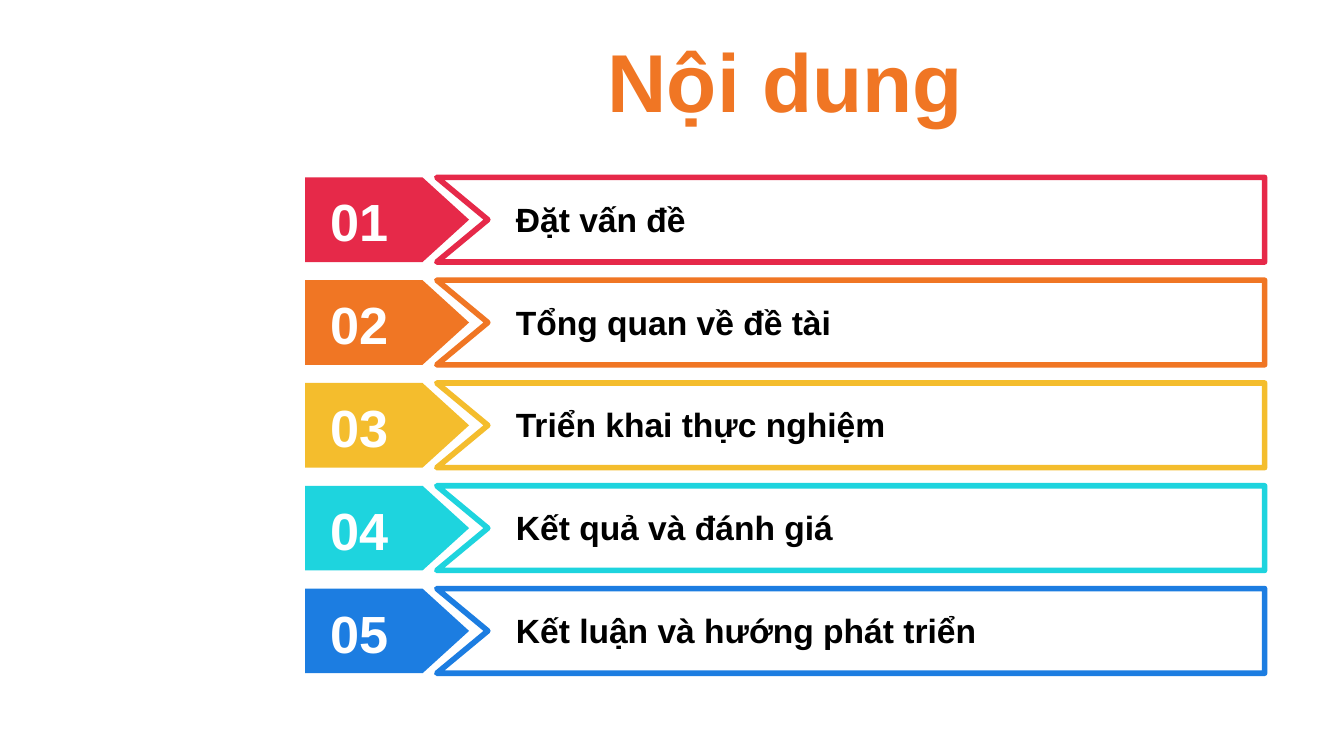
import pptx
import pptx.dml.color
import pptx.enum.shapes
import pptx.enum.text
import pptx.util
from lxml import etree
from pptx.oxml.ns import qn

Inches = pptx.util.Inches
Pt = pptx.util.Pt
Anchor = pptx.enum.text.MSO_ANCHOR
Align = pptx.enum.text.PP_ALIGN
Fit = pptx.enum.text.MSO_AUTO_SIZE

ITEMS = [
    ("Đặt vấn đề", "E62949"),
    ("Tổng quan về đề tài", "F07624"),
    ("Triển khai thực nghiệm", "F4BD2D"),
    ("Kết quả và đánh giá", "1ED4DE"),
    ("Kết luận và hướng phát triển", "1C7DE1"),
]
TOP, LAST, HIGH = 1.32, 4.38, 0.63
STEP = (LAST - TOP) / (len(ITEMS) - 1)


def color(code):
    return pptx.dml.color.RGBColor.from_string(code)


class Page:
    font = "Arial"
    white = "FFFFFF"
    black = "000000"

    def __init__(self, slide):
        self.slide = slide

    def paint(self, shape, fill):
        shape.shadow.inherit = False
        shape.fill.solid()
        shape.fill.fore_color.rgb = color(fill)

    def text(self, words, box, size, ink, anchor=Anchor.TOP,
             align=Align.LEFT, pad=0.05, fit=Fit.SHAPE_TO_FIT_TEXT):
        shape = self.slide.shapes.add_textbox(*map(Inches, box))
        frame = shape.text_frame
        frame.word_wrap = True
        frame.auto_size = fit
        frame.vertical_anchor = anchor
        frame.margin_top = frame.margin_bottom = Inches(pad)
        para = frame.paragraphs[0]
        para.alignment = align
        run = para.add_run()
        run.text = words
        run.font.name = self.font
        run.font.size = Pt(size)
        run.font.bold = True
        run.font.color.rgb = color(ink)

    def arrow(self, top, fill):
        kind = pptx.enum.shapes.MSO_SHAPE.PENTAGON
        shape = self.slide.shapes.add_shape(
            kind, Inches(2.27), Inches(top), Inches(1.22), Inches(HIGH))
        shape.adjustments[0] = 0.55
        self.paint(shape, fill)
        shape.line.fill.background()

    def frame(self, top, edge):
        """Draw the outlined bar whose left side is notched inward."""
        left, right, notch = 3.25, 9.41, 3.63
        points = [(right, top), (right, top + HIGH),
                  (left, top + HIGH), (notch, top + HIGH / 2)]
        path = self.slide.shapes.build_freeform(Inches(left), Inches(top))
        path.add_line_segments([(Inches(x), Inches(y)) for x, y in points])
        shape = path.convert_to_shape()
        self.paint(shape, self.white)
        shape.line.color.rgb = color(edge)
        shape.line.width = Pt(3)
        etree.SubElement(shape.line._get_or_add_ln(), qn("a:round"))

    def item(self, index, words, hue):
        top = TOP + index * STEP
        self.arrow(top, hue)
        self.frame(top, hue)
        self.text(f"{index + 1:02}", (2.36, top + 0.09, 0.66, 0.47), 28,
                  self.white, anchor=Anchor.MIDDLE, pad=0)
        self.text(words, (3.74, top + 0.11, 5.3, 0.4), 18, self.black)


def main():
    deck = pptx.Presentation()
    deck.slide_width = Inches(10)
    deck.slide_height = deck.slide_width * 9 // 16
    page = Page(deck.slides.add_slide(deck.slide_layouts[6]))
    page.text("Nội dung", (1.69, 0.11, 8.31, 0.97), 44, "F07624",
              anchor=Anchor.MIDDLE, align=Align.CENTER, fit=Fit.NONE)
    for index, (words, hue) in enumerate(ITEMS):
        page.item(index, words, hue)
    deck.save("out.pptx")


if __name__ == "__main__":
    main()
